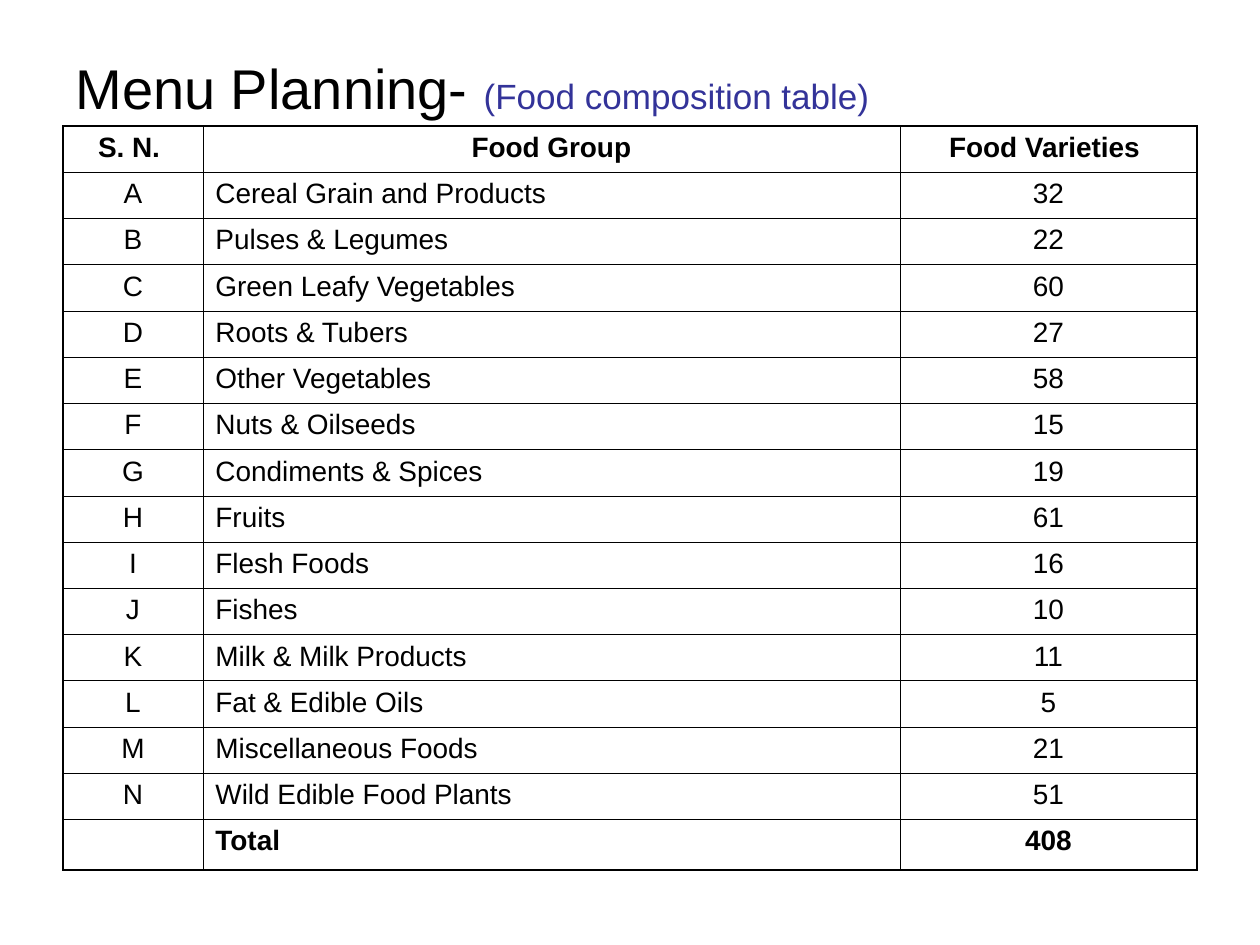
from lxml.etree import SubElement
from pptx import Presentation
from pptx.dml.color import RGBColor
from pptx.enum.text import MSO_ANCHOR as Anchor, PP_ALIGN as Align
from pptx.oxml.ns import qn
from pptx.util import Cm, Pt

TITLE = [("Menu Planning- ", 32, "000000"), ("(Food composition table)", 20, "333399")]
HEADER = ("S. N. ", "Food Group", "Food Varieties ")
FOODS = [
    ("Cereal Grain and Products", 32),
    ("Pulses & Legumes", 22),
    ("Green Leafy Vegetables", 60),
    ("Roots & Tubers", 27),
    ("Other Vegetables", 58),
    ("Nuts & Oilseeds", 15),
    ("Condiments & Spices", 19),
    ("Fruits", 61),
    ("Flesh Foods", 16),
    ("Fishes", 10),
    ("Milk & Milk Products", 11),
    ("Fat & Edible Oils", 5),
    ("Miscellaneous Foods", 21),
    ("Wild Edible Food Plants", 51),
]
TOTAL = ("", "Total", "408")
COLUMN_WIDTHS = (2.82, 14.05, 5.99)
ROW_HEIGHT = 0.93
THIN, THICK = 0.45, 1.08


def color(code):
    return RGBColor.from_string(code)


def add_span(para, text, size, code, bold=False):
    span = para.add_run()
    span.text = text
    for name, value in {"name": "Arial", "size": Pt(size), "bold": bold}.items():
        setattr(span.font, name, value)
    span.font.color.rgb = color(code)


def add_borders(cell, widths):
    properties = cell._tc.get_or_add_tcPr()
    for position, (side, width) in enumerate(widths.items()):
        line = SubElement(properties, qn(f"a:ln{side}"), w=str(Pt(width)))
        fill = SubElement(line, qn("a:solidFill"))
        SubElement(fill, qn("a:srgbClr"), val="000000")
        properties.insert(position, line)


def add_title(page):
    box = page.shapes.add_textbox(Cm(1.27), Cm(0.76), Cm(18.21), Cm(1.98))
    frame = box.text_frame
    for name, value in {"word_wrap": True, "vertical_anchor": Anchor.MIDDLE}.items():
        setattr(frame, name, value)
    for text, size, code in TITLE:
        add_span(frame.paragraphs[0], text, size, code)


def add_food_table(page):
    foods = [(chr(ord("A") + i), name, str(count)) for i, (name, count) in enumerate(FOODS)]
    rows = [HEADER, *foods, TOTAL]
    last_row, last_column = len(rows) - 1, len(HEADER) - 1
    table = page.shapes.add_table(
        len(rows), len(HEADER), Cm(1.27), Cm(2.54),
        Cm(sum(COLUMN_WIDTHS)), Cm(ROW_HEIGHT * len(rows)),
    ).table
    table.first_row = table.horz_banding = False
    for column, width in zip(table.columns, COLUMN_WIDTHS):
        column.width = Cm(width)
    for r, values in enumerate(rows):
        table.rows[r].height = Cm(ROW_HEIGHT)
        for c, text in enumerate(values):
            cell = table.cell(r, c)
            cell.fill.background()
            add_borders(cell, {
                "L": THICK if c == 0 else THIN,
                "R": THICK if c == last_column else THIN,
                "T": THICK if r in (0, last_row) else THIN,
                "B": THICK if r >= last_row - 1 else THIN,
            })
            para = cell.text_frame.paragraphs[0]
            para.alignment = Align.LEFT if c == 1 and r > 0 else Align.CENTER
            if text:
                add_span(para, text, 16, "000000", r in (0, last_row))


def main():
    deck = Presentation()
    deck.slide_width, deck.slide_height = Cm(25.4), Cm(19.05)
    page = deck.slides.add_slide(deck.slide_layouts[6])
    add_title(page)
    add_food_table(page)
    deck.save("out.pptx")


if __name__ == "__main__":
    main()
